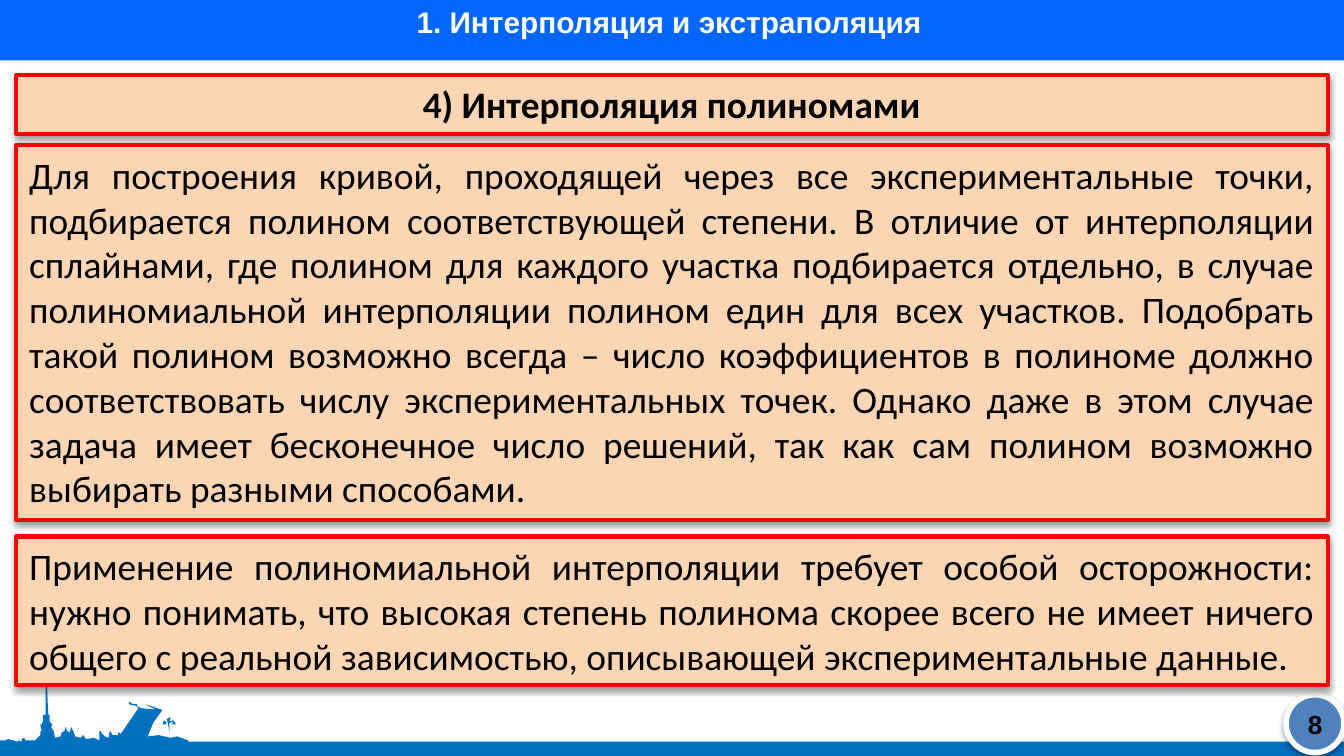
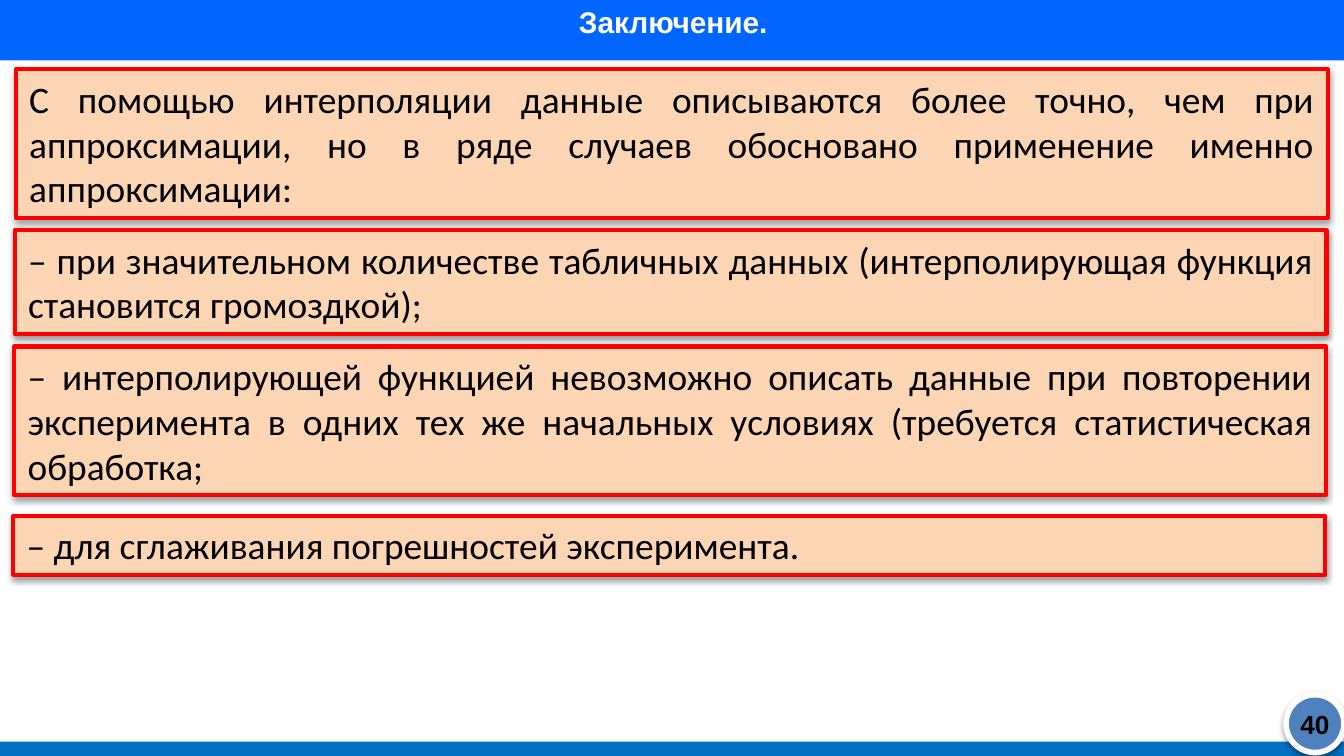
from lxml import etree
from pptx import Presentation
from pptx.dml.color import RGBColor
from pptx.enum.shapes import MSO_SHAPE
from pptx.enum.text import MSO_ANCHOR, MSO_AUTO_SIZE, PP_ALIGN
from pptx.oxml.ns import qn
from pptx.util import Pt

RECT, OVAL = MSO_SHAPE.RECTANGLE, MSO_SHAPE.OVAL
CENTER, JUSTIFY = PP_ALIGN.CENTER, PP_ALIGN.JUSTIFY
TOP, MIDDLE = MSO_ANCHOR.TOP, MSO_ANCHOR.MIDDLE
NO_FIT, GROW = MSO_AUTO_SIZE.NONE, MSO_AUTO_SIZE.SHAPE_TO_FIT_TEXT

WIDTH, HEIGHT = 720, 405
BOX_WIDTH = 702.72
ONE_LINE, TWO_LINES, THREE_LINES, EIGHT_LINES = 31.5, 55.5, 79.7, 201
TITLE_ONLY = 5
COLORS = {
    "header": "0066FF", "footer": "0070C0", "badge": "4F81BD",
    "box": "FCD5B5", "border": "FF0000", "white": "FFFFFF", "black": "000000",
}

SKYLINE_UNIT = 0.72
SKYLINE = [
    [(0, 559), (0, 551), (4, 551), (6, 550), (10, 551), (13, 552), (14, 551),
     (17, 552), (16, 550), (18, 549), (19, 551), (23, 551), (26, 551), (28, 549),
     (30, 547), (30, 544), (31, 544), (30, 539), (31, 539), (32, 537), (32, 532),
     (34, 532), (34, 511), (35, 511), (36, 532), (37, 532), (37, 537), (39, 539),
     (38, 541), (40, 544), (41, 549), (45, 548), (46, 545), (48, 544), (49, 541),
     (50, 544), (52, 545), (53, 541), (55, 545), (56, 548), (60, 549), (62, 547),
     (64, 550), (70, 549), (74, 551), (74, 544), (75, 544), (76, 546), (78, 548),
     (81, 549), (81, 546), (82, 544), (84, 547), (88, 547), (88, 545), (90, 546),
     (103, 527), (101, 525), (105, 527), (116, 528), (108, 524), (120, 528),
     (121, 528), (114, 538), (110, 548), (118, 547), (127, 549), (132, 548),
     (140, 551), (140, 559)],
    [(126, 545), (125, 538), (123, 537), (124, 539), (121, 539), (122, 536),
     (125, 538), (124, 535), (126, 534), (127, 534), (126, 537), (129, 536),
     (131, 539), (128, 539), (129, 537), (126, 538)],
    [(100, 525), (96, 524), (96, 522), (99, 524), (102, 524), (102, 525)],
]


class Deck:
    def __init__(self):
        self.prs = Presentation()
        self.prs.slide_width, self.prs.slide_height = Pt(WIDTH), Pt(HEIGHT)
        self.s = None

    def color(self, name):
        return RGBColor.from_string(COLORS[name])

    def paint(self, sp, fill, line=None, width=0):
        sp.shadow.inherit = False
        sp.fill.solid()
        sp.fill.fore_color.rgb = self.color(fill)
        if line:
            sp.line.color.rgb = self.color(line)
            sp.line.width = Pt(width)
        else:
            sp.line.fill.background()

    def shape(self, kind, x, y, w, h, fill, line=None, width=0):
        sp = self.s.shapes.add_shape(kind, Pt(x), Pt(y), Pt(w), Pt(h))
        self.paint(sp, fill, line, width)
        return sp

    def shadow(self, sp):
        effects = sp.element.spPr.find(qn("a:effectLst"))
        outer = etree.SubElement(
            effects, qn("a:outerShdw"), blurRad=str(Pt(3.1)), dist=str(Pt(1.6)),
            dir="5400000", rotWithShape="0")
        color = etree.SubElement(outer, qn("a:srgbClr"), val=COLORS["black"])
        etree.SubElement(color, qn("a:alpha"), val="38000")

    def text(self, sp, text, size, font, color="black", bold=False,
             align=CENTER, anchor=TOP, fit=NO_FIT):
        tf = sp.text_frame
        tf.text = text
        tf.word_wrap, tf.auto_size, tf.vertical_anchor = True, fit, anchor
        tf.margin_left = tf.margin_right = Pt(7.2)
        tf.margin_top = tf.margin_bottom = Pt(3.6)
        p = tf.paragraphs[0]
        p.alignment = align
        for r in p.runs:
            r.font.size, r.font.name, r.font.bold = Pt(size), font, bold
            r.font.color.rgb = self.color(color)
        return p

    def title(self, text):
        sp = self.s.shapes.title
        sp.left, sp.top, sp.width, sp.height = Pt(55.4), Pt(-1.4), Pt(610.6), Pt(33.8)
        p = self.text(sp, text, 16, "Arial", "white", True)
        p.space_before = Pt(3.2)
        sp.element.getparent().append(sp.element)

    def skyline(self):
        first, *details = SKYLINE
        builder = self.s.shapes.build_freeform(*first[0], scale=Pt(SKYLINE_UNIT))
        builder.add_line_segments(first[1:])
        for outline in details:
            builder.move_to(*outline[0])
            builder.add_line_segments(outline[1:])
        self.paint(builder.convert_to_shape(), "footer")

    def badge(self, number):
        x, size = 689, 31
        self.shadow(self.shape(OVAL, x, 372.2, size, size, "badge", "white", 3))
        sp = self.s.shapes.add_textbox(Pt(x), Pt(377.3), Pt(size), Pt(21.6))
        self.text(sp, str(number), 14, "Arial", bold=True, anchor=MIDDLE)

    def box(self, x, y, h, text, bold=False, align=JUSTIFY):
        sp = self.shape(RECT, x, y, BOX_WIDTH, h, "box", "border", 2.25)
        self.shadow(sp)
        self.text(sp, text, 20, "Calibri", bold=bold, align=align, fit=GROW)

    def slide(self, title, number, skyline=False):
        self.s = self.prs.slides.add_slide(self.prs.slide_layouts[TITLE_ONLY])
        self.shape(RECT, 0, 0, WIDTH, 32.4, "header")
        self.title(title)
        self.shape(RECT, 0, 397.4, WIDTH, 7.6, "footer")
        if skyline:
            self.skyline()
        self.badge(number)


def main():
    deck = Deck()

    deck.slide("1. Интерполяция и экстраполяция ", 8, skyline=True)
    deck.box(8.6, 40.2, ONE_LINE, "4) Интерполяция полиномами", bold=True, align=CENTER)
    deck.box(8.6, 77.8, EIGHT_LINES, (
        "Для построения кривой, проходящей через все экспериментальные точки, "
        "подбирается полином соответствующей степени. В отличие от интерполяции "
        "сплайнами, где полином для каждого участка подбирается отдельно, в случае "
        "полиномиальной интерполяции полином един для всех участков. Подобрать такой "
        "полином возможно всегда – число коэффициентов в полиноме должно "
        "соответствовать числу экспериментальных точек. Однако даже в этом случае "
        "задача имеет бесконечное число решений, так как сам полином возможно "
        "выбирать разными способами. "))
    deck.box(8.6, 287.5, THREE_LINES, (
        "Применение полиномиальной интерполяции требует особой осторожности: нужно "
        "понимать, что высокая степень полинома скорее всего не имеет ничего общего "
        "с реальной зависимостью, описывающей экспериментальные данные."))

    deck.slide("Заключение.", 40)
    deck.box(8.6, 37.2, THREE_LINES, (
        "С помощью интерполяции данные описываются более точно, чем при "
        "аппроксимации, но в ряде случаев обосновано применение именно аппроксимации:"))
    deck.box(8, 123.3, TWO_LINES, (
        "– при значительном количестве табличных данных (интерполирующая функция "
        "становится громоздкой);"))
    deck.box(7.7, 185.6, THREE_LINES, (
        "– интерполирующей функцией невозможно описать данные при повторении "
        "эксперимента в одних тех же начальных условиях (требуется статистическая "
        "обработка;"))
    deck.box(7.2, 276.4, ONE_LINE, "– для сглаживания погрешностей эксперимента.")

    deck.prs.save("out.pptx")


if __name__ == "__main__":
    main()
